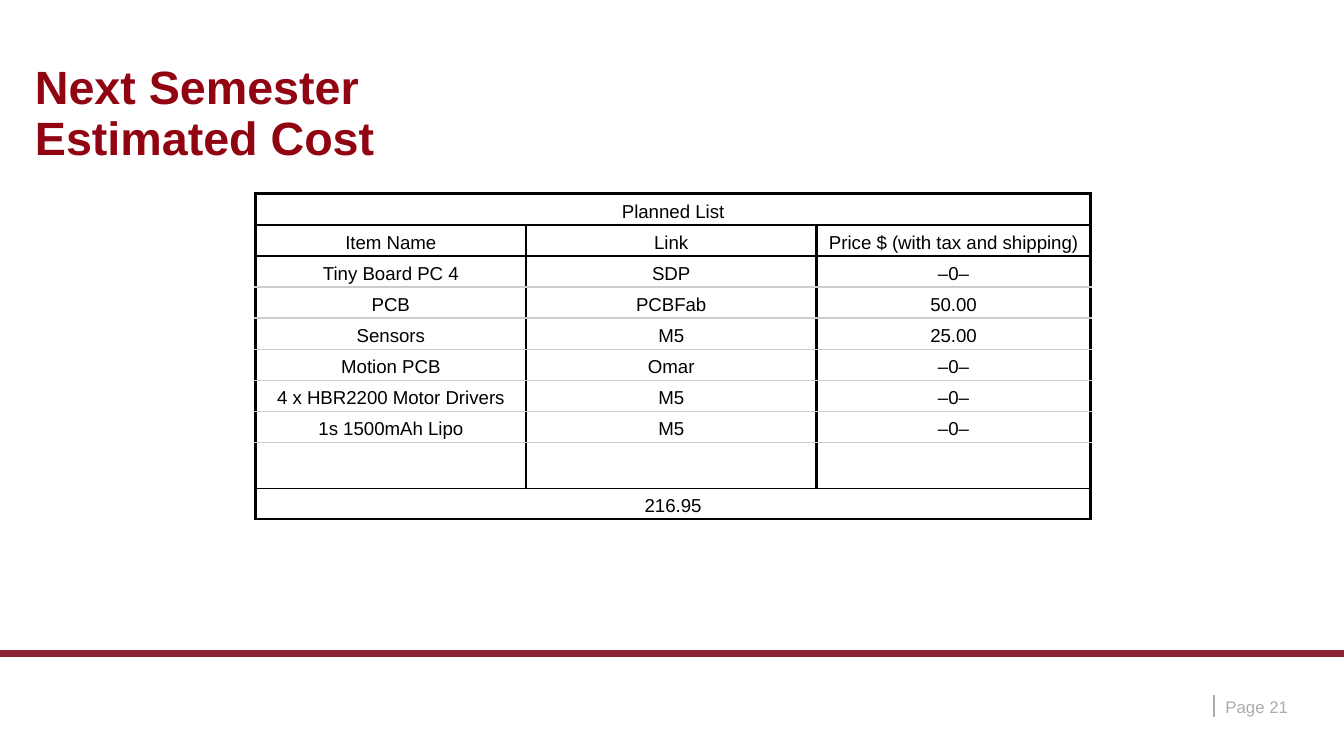
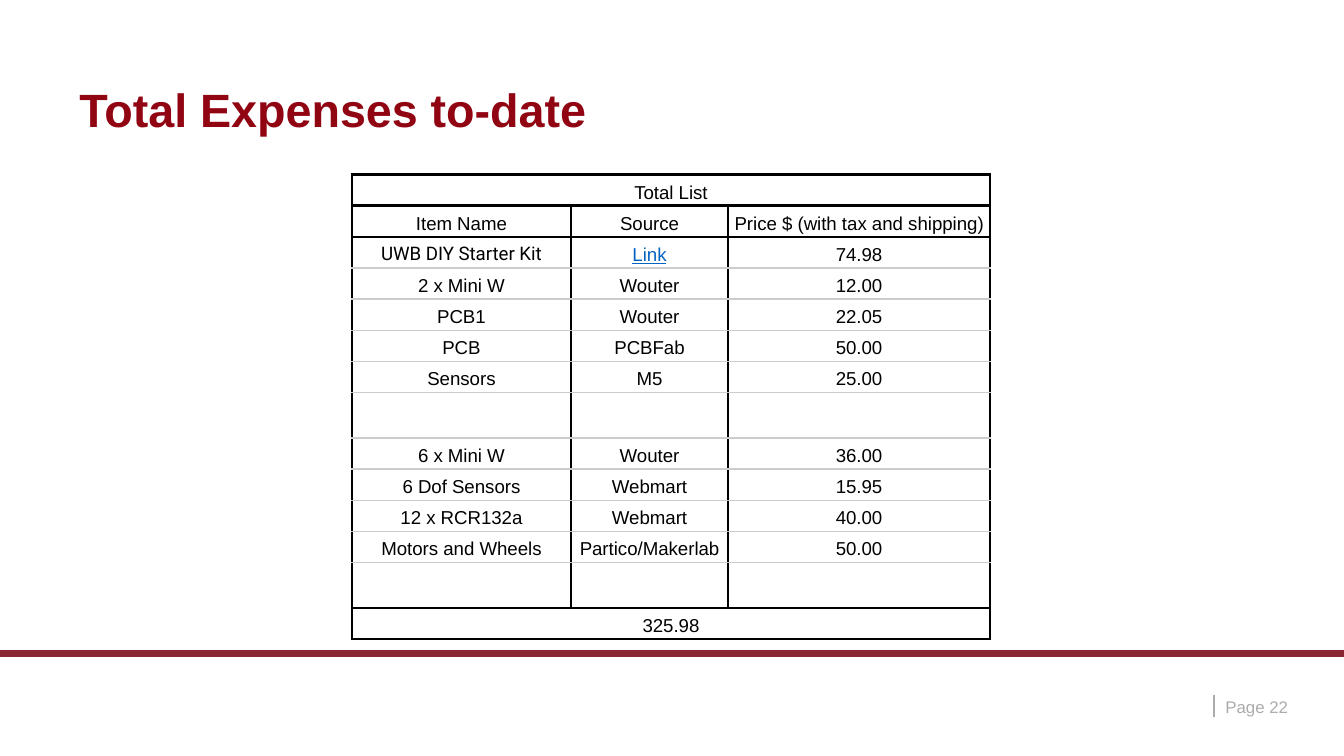
from lxml import etree
from pptx import Presentation
from pptx.dml.color import RGBColor
from pptx.enum.shapes import MSO_CONNECTOR, MSO_SHAPE
from pptx.enum.text import MSO_ANCHOR, MSO_AUTO_SIZE, PP_ALIGN
from pptx.oxml.ns import qn
from pptx.util import Cm, Pt

RECTANGLE = MSO_SHAPE.RECTANGLE
STRAIGHT = MSO_CONNECTOR.STRAIGHT
TOP, MIDDLE, BOTTOM = MSO_ANCHOR.TOP, MSO_ANCHOR.MIDDLE, MSO_ANCHOR.BOTTOM
LEFT, CENTER = PP_ALIGN.LEFT, PP_ALIGN.CENTER
NO_AUTOFIT = MSO_AUTO_SIZE.NONE

TITLE_RED = RGBColor(0x91, 0x05, 0x13)
BAND_RED = RGBColor(0x8A, 0x23, 0x32)
GREY = RGBColor(0xAE, 0xAB, 0xAB)
RULE_GREY = RGBColor(0xCC, 0xCC, 0xCC)
LINK_BLUE = RGBColor(0x05, 0x63, 0xC1)
BLACK = RGBColor(0, 0, 0)

FONT = "Arial"
HEADER_HEIGHT, ROW_HEIGHT, GAP_HEIGHT = Cm(0.58), Cm(0.56), Cm(0.82)
GAP = ("", "", "")
PRICE = "Price $ (with tax and shipping)"

# Border styles: colour and width in points
HEAVY, THIN, RULE = (BLACK, 1.5), (BLACK, 0.75), (RULE_GREY, 0.75)

PLANNED_ITEMS = [
    ("Tiny Board PC 4", "SDP", "–0–"),
    ("PCB", "PCBFab", "50.00"),
    ("Sensors", "M5", "25.00"),
    ("Motion PCB", "Omar", "–0–"),
    ("4 x HBR2200 Motor Drivers", "M5", "–0–"),
    ("1s 1500mAh Lipo", "M5", "–0–"),
    GAP,
]
BOUGHT_ITEMS = [
    ("UWB DIY Starter Kit", "Link", "74.98"),
    ("2 x Mini W", "Wouter", "12.00"),
    ("PCB1", "Wouter", "22.05"),
    ("PCB", "PCBFab", "50.00"),
    ("Sensors", "M5", "25.00"),
    GAP,
    ("6 x Mini W", "Wouter", "36.00"),
    ("6 Dof Sensors", "Webmart", "15.95"),
    ("12 x RCR132a", "Webmart", "40.00"),
    ("Motors and Wheels", "Partico/Makerlab", "50.00"),
    GAP,
]


class Deck:
    def __init__(self):
        self.prs = Presentation()
        self.prs.slide_width, self.prs.slide_height = Cm(25.4), Cm(14.29)
        self.slide = None

    def put_text(self, frame, text, size, color, bold=False, align=LEFT, spacing=1.0):
        frame.text = text
        paragraph = frame.paragraphs[0]
        paragraph.alignment = align
        paragraph.line_spacing = spacing
        for run in paragraph.runs:
            run.font.name = FONT
            run.font.size = Pt(size)
            run.font.bold = bold
            run.font.color.rgb = color

    def inset(self, frame, side, end):
        frame.margin_left = frame.margin_right = side
        frame.margin_top = frame.margin_bottom = end

    def add_slide(self, page):
        self.slide = self.prs.slides.add_slide(self.prs.slide_layouts[5])
        self.band()
        self.page_number(page)

    def band(self):
        band = self.slide.shapes.add_shape(
            RECTANGLE, 0, Cm(12.29), self.prs.slide_width, Cm(0.13))
        band.shadow.inherit = False
        band.fill.solid()
        band.fill.fore_color.rgb = BAND_RED
        band.line.fill.background()

    def page_number(self, page):
        divider = self.slide.shapes.add_connector(
            STRAIGHT, Cm(22.94), Cm(13.13), Cm(22.94), Cm(13.56))
        divider.line.color.rgb = GREY
        divider.line.width = Pt(1.25)
        etree.SubElement(divider._element.spPr, qn("a:effectLst"))

        label = self.slide.shapes.add_textbox(
            Cm(23.01), Cm(13.06), Cm(1.83), Cm(0.58)).text_frame
        label.word_wrap = True
        label.vertical_anchor = MIDDLE
        self.inset(label, Cm(0.15), Cm(0.1))
        self.put_text(label, f"Page {page}", 9, GREY)

    def title(self, text, left, top, width):
        title = self.slide.shapes.title
        title.left, title.top, title.width, title.height = left, top, width, Cm(1.42)
        frame = title.text_frame
        frame.word_wrap = True
        frame.auto_size = NO_AUTOFIT
        frame.vertical_anchor = TOP
        self.inset(frame, Cm(0.18), Cm(0.1))
        self.put_text(frame, text, 25, TITLE_RED, bold=True, spacing=0.9)

    def cell(self, cell, text, top, bottom):
        properties = cell._tc.get_or_add_tcPr()
        sides = {"a:lnL": HEAVY, "a:lnR": HEAVY, "a:lnT": top, "a:lnB": bottom}
        for tag, (color, width) in sides.items():
            line = etree.SubElement(properties, qn(tag), w=str(Pt(width)))
            fill = etree.SubElement(line, qn("a:solidFill"))
            etree.SubElement(fill, qn("a:srgbClr"), val=str(color))
        cell.fill.background()
        self.inset(cell, Cm(0.08), Cm(0.05))
        cell.vertical_anchor = BOTTOM
        if text:
            self.put_text(cell.text_frame, text, 10, BLACK, align=CENTER, spacing=1.15)

    def cost_table(self, left, top, widths, heading, headers, items, total):
        rows = [(heading, "", ""), headers, *items, (total, "", "")]
        last = len(rows) - 1
        heights = [HEADER_HEIGHT] * 2 + [
            GAP_HEIGHT if row == GAP else ROW_HEIGHT for row in rows[2:]]
        # One border above each row, plus the bottom edge
        edges = [HEAVY] * 3 + [RULE] * (last - 3) + [THIN, HEAVY]

        table = self.slide.shapes.add_table(
            len(rows), len(widths), left, top, sum(widths), sum(heights)).table
        table.first_row = table.horz_banding = False
        for column, width in zip(table.columns, widths):
            column.width = width
        for r, (row, height) in enumerate(zip(rows, heights)):
            table.rows[r].height = height
            for c, text in enumerate(row):
                self.cell(table.cell(r, c), text, edges[r], edges[r + 1])
        for r in (0, last):
            table.cell(r, 0).merge(table.cell(r, len(widths) - 1))
        return table


def main():
    deck = Deck()

    # Next semester
    deck.add_slide(21)
    deck.title("Next Semester Estimated Cost", Cm(0.48), Cm(1.12), Cm(7.01))
    deck.cost_table(
        Cm(4.83), Cm(3.66), [Cm(5.11), Cm(5.49), Cm(5.18)], "Planned List",
        ("Item Name", "Link", PRICE), PLANNED_ITEMS, "216.95")

    # Expenses so far
    deck.add_slide(22)
    deck.title("Total Expenses to-date", Cm(1.32), Cm(1.55), Cm(22.81))
    expenses = deck.cost_table(
        Cm(6.65), Cm(3.3), [Cm(4.14), Cm(2.97), Cm(4.95)], "Total List",
        ("Item Name", "Source", PRICE), BOUGHT_ITEMS, "325.98")
    starter_kit, kit_link = (
        expenses.cell(2, c).text_frame.paragraphs[0].runs[0].font for c in (0, 1))
    starter_kit.name = "Roboto"
    kit_link.color.rgb = LINK_BLUE
    kit_link.underline = True

    deck.prs.save("out.pptx")


if __name__ == "__main__":
    main()
